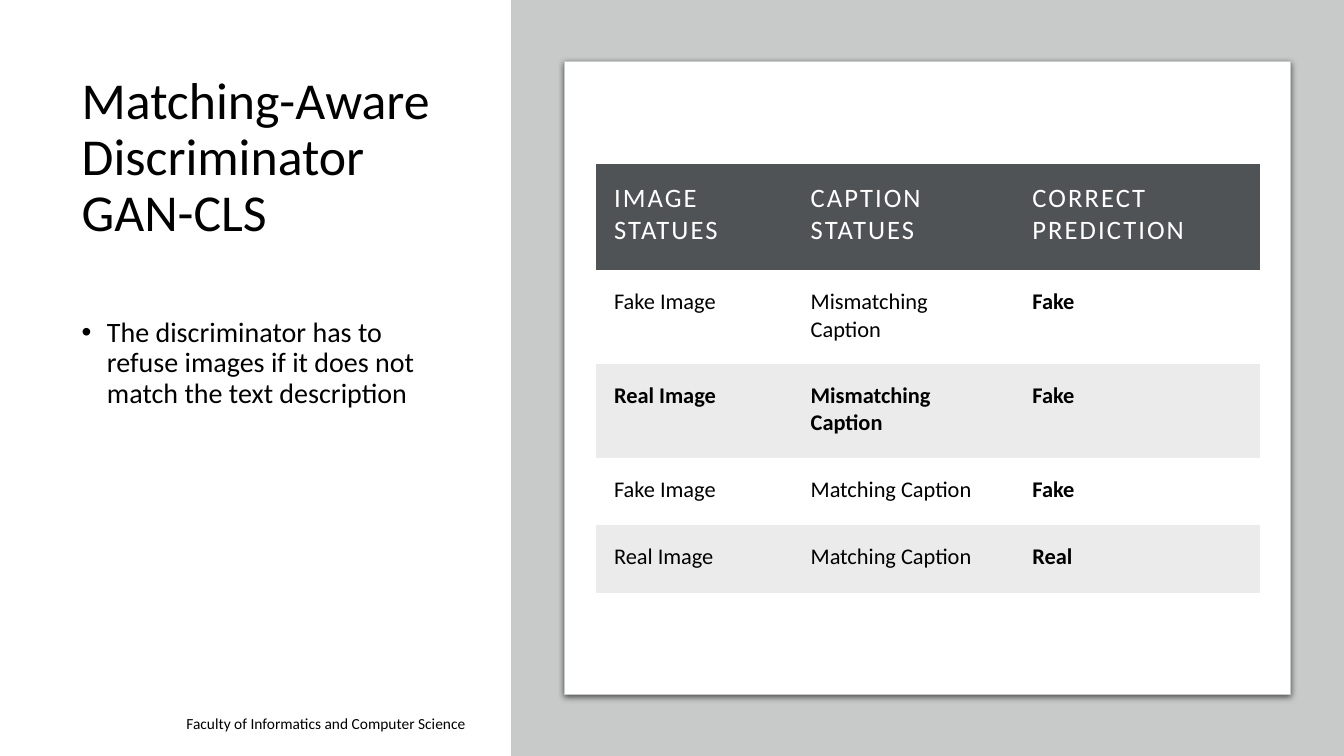
from dataclasses import dataclass

from lxml.etree import SubElement
from pptx import Presentation
from pptx.dml.color import RGBColor
from pptx.enum.shapes import MSO_SHAPE
from pptx.enum.text import MSO_ANCHOR, MSO_AUTO_SIZE, PP_ALIGN
from pptx.oxml.ns import qn
from pptx.shapes.autoshape import Shape
from pptx.slide import Slide
from pptx.table import _Cell
from pptx.text.text import TextFrame, _Paragraph, _Run
from pptx.util import Inches, Pt

SLIDE_WIDTH, SLIDE_HEIGHT = Inches(13.33), Inches(7.5)
FONT = "Calibri"
COLORS = {
    "text": "000000",
    "paper": "FFFFFF",
    "panel": "C8CACA",
    "header": "505356",
    "band": "EBEBEB",
}
NO_GRID_STYLE = "{2D5ABB26-0587-4C30-8999-92F81FD0307C}"


def share_x(percent: float) -> int:
    return round(SLIDE_WIDTH * percent / 100)


def share_y(percent: float) -> int:
    return round(SLIDE_HEIGHT * percent / 100)


@dataclass(frozen=True)
class Area:
    """A rectangle in percent of the slide's width and height."""
    left: float
    top: float
    width: float
    height: float

    def lengths(self) -> tuple[int, int, int, int]:
        return (share_x(self.left), share_y(self.top),
                share_x(self.width), share_y(self.height))


@dataclass(frozen=True)
class Case:
    image: str
    caption: str
    prediction: str
    highlighted: bool = False


TITLE_AREA = Area(5.33, 9.2, 28.73, 23.6)
BODY_AREA = Area(5.33, 41.47, 28.73, 49.33)
FOOTER_AREA = Area(13.13, 93.87, 22.5, 6.1)
PANEL_AREA = Area(38.03, 0, 61.97, 100)
CARD_AREA = Area(42.01, 8.13, 54.01, 83.73)
TABLE_AREA = Area(44.34, 21.73, 49.43, 56.66)
COLUMN_SHARES = (14.63, 16.5, 18.3)
ROW_SHARES = (14, 12.4, 12.4, 8.93, 8.93)

HEADINGS = ("IMAGE STATUES", "CAPTION STATUES", "CORRECT PREDICTION")
CASES = (
    Case("Fake Image", "Mismatching Caption", "Fake"),
    Case("Real Image", "Mismatching Caption", "Fake", highlighted=True),
    Case("Fake Image", "Matching Caption", "Fake"),
    Case("Real Image", "Matching Caption", "Real"),
)


def color(name: str) -> RGBColor:
    return RGBColor.from_string(COLORS[name])


def add_run(paragraph: _Paragraph, text: str, size: float,
            color_name: str = "text", bold: bool = False) -> _Run:
    run = paragraph.add_run()
    run.text = text
    run.font.name = FONT
    run.font.size = Pt(size)
    run.font.bold = bold
    run.font.color.rgb = color(color_name)
    return run


def place_text(shape: Shape, area: Area, anchor: MSO_ANCHOR) -> TextFrame:
    shape.left, shape.top, shape.width, shape.height = area.lengths()
    frame = shape.text_frame
    frame.word_wrap = True
    frame.auto_size = MSO_AUTO_SIZE.NONE
    frame.vertical_anchor = anchor
    return frame


def add_texts(slide: Slide) -> None:
    title = place_text(slide.shapes.title, TITLE_AREA, MSO_ANCHOR.MIDDLE).paragraphs[0]
    title.alignment = PP_ALIGN.LEFT
    title.line_spacing = 0.9
    add_run(title, "Matching-Aware Discriminator GAN-CLS", 37)

    bullet = place_text(slide.placeholders[1], BODY_AREA, MSO_ANCHOR.TOP).paragraphs[0]
    bullet.line_spacing = 0.9
    bullet.space_before = Pt(0)
    properties = bullet._p.get_or_add_pPr()
    properties.set("marL", str(Inches(0.25)))
    properties.set("indent", str(-Inches(0.25)))
    SubElement(properties, qn("a:buFont"), typeface="Arial")
    SubElement(properties, qn("a:buChar"), char="•")
    add_run(bullet, "The discriminator has to refuse images if it does not "
                    "match the text description", 20)

    footer_box = slide.shapes.add_textbox(*FOOTER_AREA.lengths())
    footer = place_text(footer_box, FOOTER_AREA, MSO_ANCHOR.TOP).paragraphs[0]
    add_run(footer, "Faculty of Informatics and Computer Science", 11)


def add_block(slide: Slide, kind: MSO_SHAPE, area: Area, fill_name: str) -> Shape:
    block = slide.shapes.add_shape(kind, *area.lengths())
    block.shadow.inherit = False
    block.fill.solid()
    block.fill.fore_color.rgb = color(fill_name)
    block.line.fill.background()
    return block


def add_card(slide: Slide) -> None:
    card = add_block(slide, MSO_SHAPE.ROUNDED_RECTANGLE, CARD_AREA, "paper")
    card.adjustments[0] = 0
    card.line.color.rgb = color("panel")
    card.line.width = Pt(0.75)
    effects = card.element.spPr.find(qn("a:effectLst"))
    shadow = SubElement(effects, qn("a:outerShdw"), blurRad=str(Pt(4.5)),
                        dist=str(Pt(1.5)), dir="5400000", algn="ctr", rotWithShape="0")
    shade = SubElement(shadow, qn("a:srgbClr"), val=COLORS["text"])
    SubElement(shade, qn("a:alpha"), val="63000")


def prepare_cell(cell: _Cell, fill_name: str) -> _Paragraph:
    cell.margin_left = cell.margin_right = Inches(0.18)
    cell.margin_top = cell.margin_bottom = Inches(0.18)
    cell.fill.solid()
    cell.fill.fore_color.rgb = color(fill_name)
    return cell.text_frame.paragraphs[0]


def add_case_table(slide: Slide) -> None:
    frame = slide.shapes.add_table(len(ROW_SHARES), len(COLUMN_SHARES),
                                   *TABLE_AREA.lengths())
    next(frame.element.iter(qn("a:tableStyleId"))).text = NO_GRID_STYLE
    table = frame.table
    for column, share in zip(table.columns, COLUMN_SHARES):
        column.width = share_x(share)
    for row, share in zip(table.rows, ROW_SHARES):
        row.height = share_y(share)

    for index, heading in enumerate(HEADINGS):
        paragraph = prepare_cell(table.cell(0, index), "header")
        run = add_run(paragraph, heading, 19, "paper")
        run.font._element.set("spc", "150")

    for row_index, case in enumerate(CASES, start=1):
        fill_name = "paper" if row_index % 2 else "band"
        values = (case.image, case.caption, case.prediction)
        for index, value in enumerate(values):
            paragraph = prepare_cell(table.cell(row_index, index), fill_name)
            is_prediction = index == len(values) - 1
            add_run(paragraph, value, 16, bold=case.highlighted or is_prediction)


def main() -> None:
    presentation = Presentation()
    presentation.slide_width = SLIDE_WIDTH
    presentation.slide_height = SLIDE_HEIGHT
    slide = presentation.slides.add_slide(presentation.slide_layouts[1])
    add_texts(slide)
    add_block(slide, MSO_SHAPE.RECTANGLE, PANEL_AREA, "panel")
    add_card(slide)
    add_case_table(slide)
    presentation.save("out.pptx")


if __name__ == "__main__":
    main()
